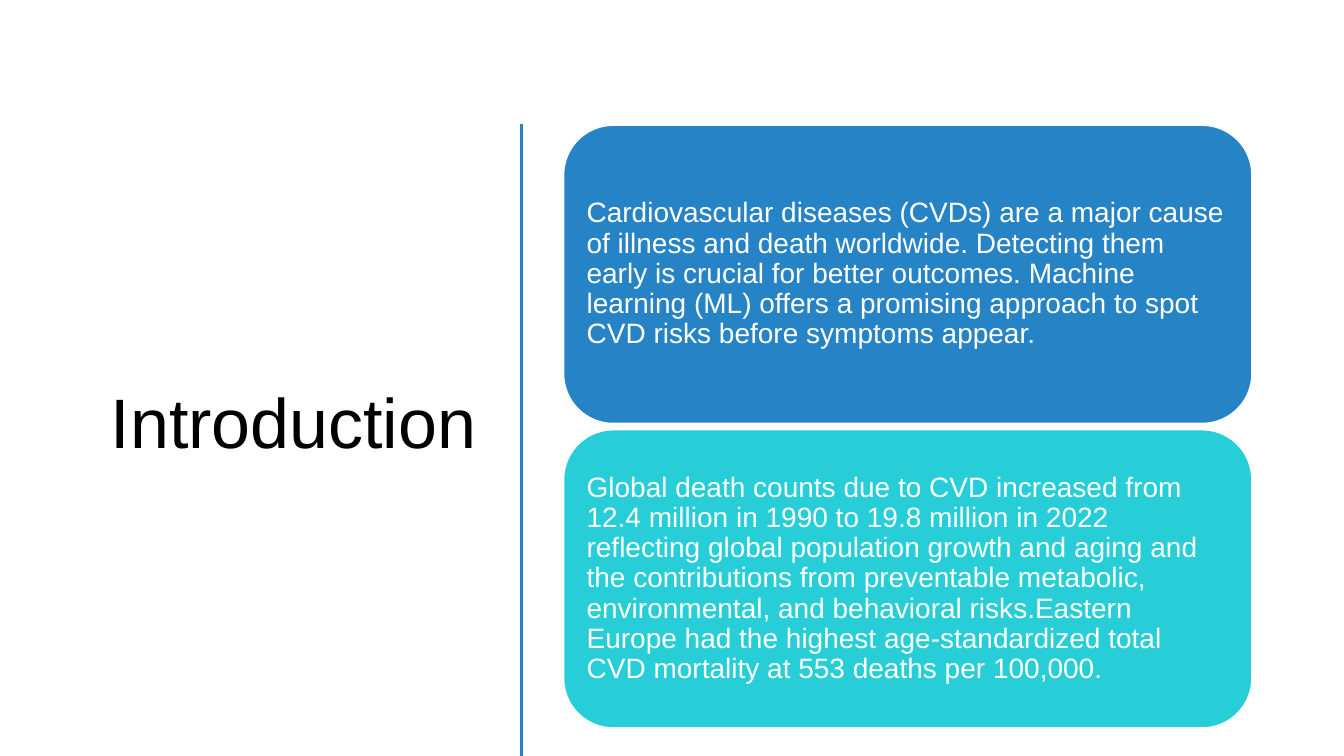
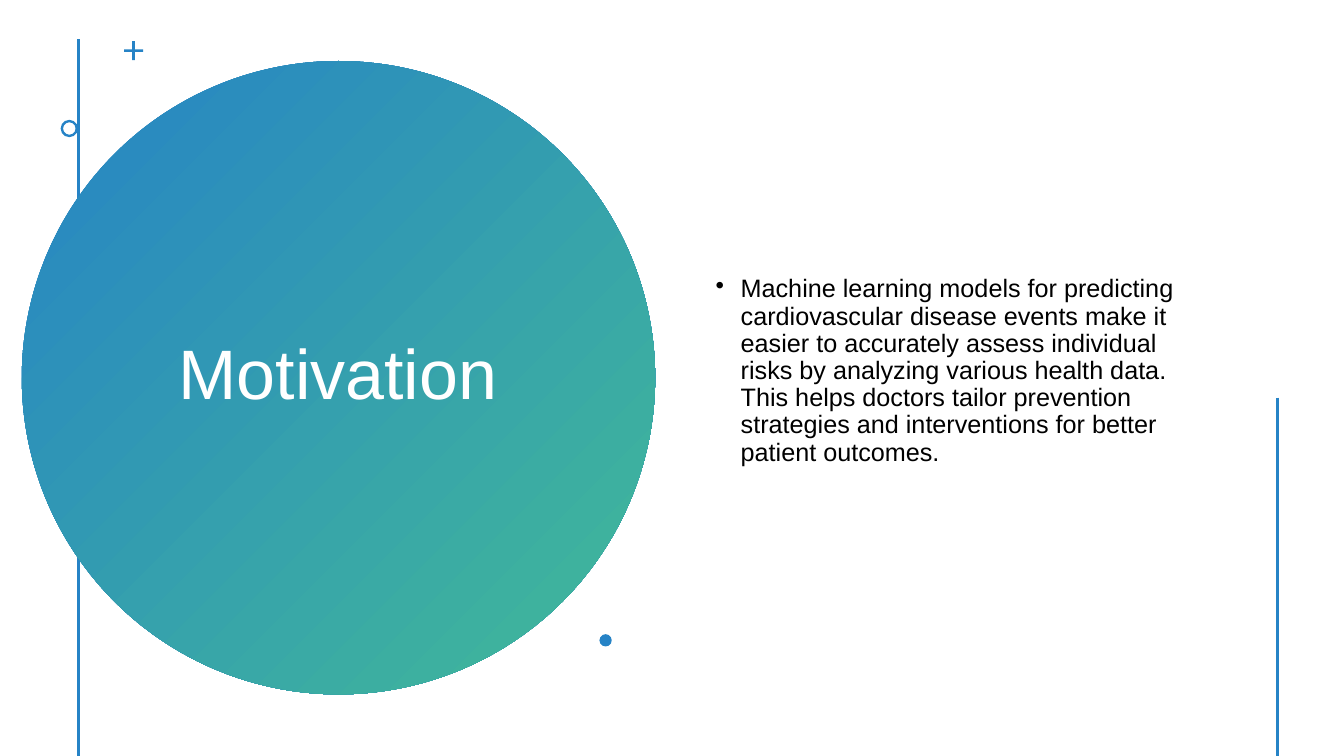
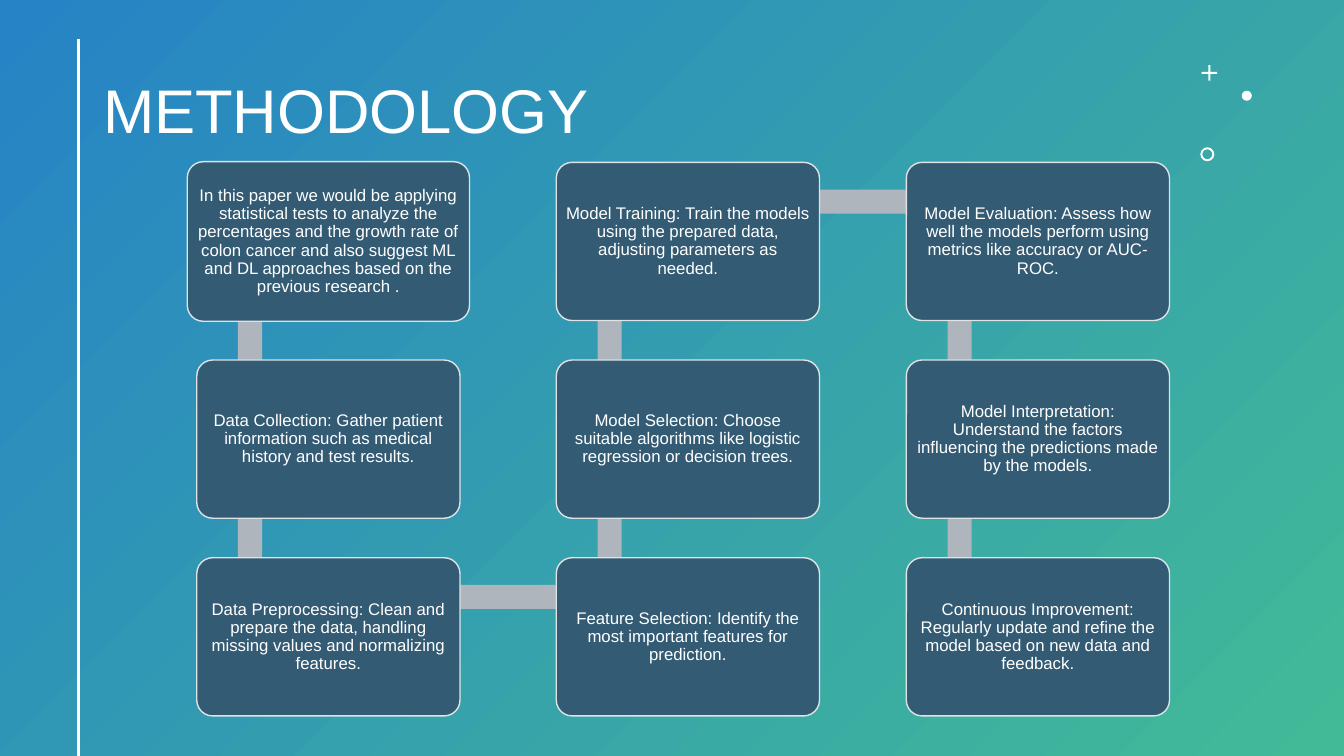
from itertools import pairwise

from lxml import etree
from pptx import Presentation
from pptx.dml.color import RGBColor
from pptx.enum import shapes, text
from pptx.oxml import ns
from pptx.util import Pt

WIDTH, HEIGHT = 960, 540
FONT = "Arial"
BLUE, GREEN, TURQUOISE = "2683C6", "42BA97", "27CED7"
NAVY, GREY, PALE = "335B74", "AEB5BC", "DFE3E5"
WHITE, BLACK = "FFFFFF", "000000"
SHAPE, ALIGN = shapes.MSO_SHAPE, text.PP_ALIGN

INTRODUCTION = [
    (BLUE, "Cardiovascular diseases (CVDs) are a major cause of illness and death worldwide. "
           "Detecting them early is crucial for better outcomes. Machine learning (ML) offers "
           "a promising approach to spot CVD risks before symptoms appear."),
    (TURQUOISE, "Global death counts due to CVD increased from 12.4 million in 1990 to 19.8 million "
                "in 2022 reflecting global population growth and aging and the contributions from "
                "preventable metabolic, environmental, and behavioral risks.Eastern Europe had the "
                "highest age-standardized total CVD mortality at 553 deaths per 100,000."),
]
MOTIVATION = ("Machine learning models for predicting cardiovascular disease events make it easier "
              "to accurately assess individual risks by analyzing various health data. This helps "
              "doctors tailor prevention strategies and interventions for better patient outcomes.")
STEPS = [
    "In this paper we would be applying statistical tests to analyze the percentages and the growth "
    "rate of colon cancer and also suggest ML and DL approaches based on the previous research .",
    "Data Collection: Gather patient information such as medical history and test results.",
    "Data Preprocessing: Clean and prepare the data, handling missing values and normalizing features.",
    "Feature Selection: Identify the most important features for prediction.",
    "Model Selection: Choose suitable algorithms like logistic regression or decision trees.",
    "Model Training: Train the models using the prepared data, adjusting parameters as needed.",
    "Model Evaluation: Assess how well the models perform using metrics like accuracy or AUC-ROC.",
    "Model Interpretation: Understand the factors influencing the predictions made by the models.",
    "Continuous Improvement: Regularly update and refine the model based on new data and feedback.",
]


def color(value):
    return RGBColor.from_string(value)


def points(box):
    return [Pt(length) for length in box]


def write(shape, words, size=18, ink=WHITE, align=ALIGN.LEFT, inset=None, bullet=False):
    frame = shape.text_frame
    frame.word_wrap = True
    frame.auto_size = text.MSO_AUTO_SIZE.NONE
    frame.vertical_anchor = text.MSO_ANCHOR.MIDDLE
    if inset is not None:
        frame.margin_left = frame.margin_right = Pt(inset)
        frame.margin_top = frame.margin_bottom = Pt(inset)
    paragraph = frame.paragraphs[0]
    paragraph.alignment = align
    paragraph.line_spacing = 0.9
    run = paragraph.add_run()
    run.text = words
    run.font.name, run.font.size = FONT, Pt(size)
    run.font.color.rgb = color(ink)
    if bullet:
        properties = paragraph._p.get_or_add_pPr()
        properties.set("marL", str(Pt(18)))
        properties.set("indent", str(Pt(-18)))
        etree.SubElement(properties, ns.qn("a:buChar")).set("char", "•")


def add_shape(slide, kind, box, fill, outline=None, adjust=None):
    """Add a preset shape; a pair of colours as fill gives a diagonal gradient."""
    shape = slide.shapes.add_shape(kind, *points(box))
    shape.shadow.inherit = False
    if isinstance(fill, tuple):
        shape.fill.gradient()
        shape.fill.gradient_angle = 315
        for stop, value in zip(shape.fill.gradient_stops, fill):
            stop.color.rgb = color(value)
    else:
        shape.fill.solid()
        shape.fill.fore_color.rgb = color(fill)
    if outline:
        shape.line.color.rgb = color(outline)
        shape.line.width = Pt(1)
    else:
        shape.line.fill.background()
    if adjust is not None:
        shape.adjustments[0] = adjust
    return shape


def add_rule(slide, x, top, ink=BLUE):
    """Add a vertical line that runs down to the foot of the slide."""
    rule = slide.shapes.add_connector(shapes.MSO_CONNECTOR.STRAIGHT, *points((x, top, x, HEIGHT)))
    rule.line.color.rgb = color(ink)
    rule.line.width = Pt(2)
    etree.SubElement(rule._element.spPr, ns.qn("a:effectLst"))


def add_title(slide, words, box, **style):
    """Fill the title placeholder and bring it in front of what is already drawn."""
    title = slide.shapes.title
    title.left, title.top, title.width, title.height = points(box)
    title.element.getparent().append(title.element)
    write(title, words, **style)


def add_ornaments(slide, ink, plus, ring, dot):
    """Add the small plus, ring and dot, each given as (left, top, size)."""
    for kind, (left, top, size), adjust in (
        (SHAPE.CROSS, plus, 0.43), (SHAPE.DONUT, ring, 0.14), (SHAPE.OVAL, dot, None),
    ):
        add_shape(slide, kind, (left, top, size, size), ink, adjust=adjust)


def add_panels(slide, panels, box, gap=4.5):
    left, top, width, height = box
    panel_height = (height - gap * (len(panels) - 1)) / len(panels)
    for index, (fill, words) in enumerate(panels):
        place = (left, top + index * (panel_height + gap), width, panel_height)
        panel = add_shape(slide, SHAPE.ROUNDED_RECTANGLE, place, fill, WHITE)
        write(panel, words, size=20, inset=6)


def add_flow(slide, steps, left, top):
    """Lay steps out in columns, down and up in turn, joined by grey bars."""
    rows, width, height, row_gap, column_gap = 3, 188, 113, 28.2, 62
    first_width, bar = 201.6, 17.2
    cells = []
    for index in range(len(steps)):
        column, row = divmod(index, rows)
        if column % 2:
            row = rows - 1 - row
        x = left + (first_width - width) / 2
        if column:
            x = left + first_width + column_gap + (column - 1) * (width + column_gap)
        cells.append((x, top + row * (height + row_gap)))

    joints = [(x + 38, y + 28) for x, y in cells]
    for (x1, y1), (x2, y2) in pairwise(joints):
        if x1 == x2:
            link = (x1 - bar / 2, min(y1, y2), bar, abs(y2 - y1))
        else:
            link = (x1, y1 - bar / 2, x2 - x1, bar)
        add_shape(slide, SHAPE.RECTANGLE, link, GREY)

    for index, (words, (x, y)) in enumerate(zip(steps, cells)):
        place = (x, y, width, height) if index else (left, y - 0.5, first_width, height + 1)
        step = add_shape(slide, SHAPE.ROUNDED_RECTANGLE, place, NAVY, PALE, adjust=0.1)
        write(step, words, size=12, align=ALIGN.CENTER, inset=3.6)


def build_introduction(slide):
    add_title(slide, "Introduction", (37.4, 84, 310.4, 440), size=50, ink=BLACK, align=ALIGN.RIGHT)
    add_rule(slide, 372.4, 88.5)
    add_panels(slide, INTRODUCTION, (402.6, 89.5, 491.6, 430.5))


def build_motivation(slide):
    add_rule(slide, 56, 28)
    add_shape(slide, SHAPE.OVAL, (15.6, 43.6, 452.4, 452.4), (BLUE, GREEN))
    add_title(slide, "Motivation", (98, 101.5, 287, 336), size=50, align=ALIGN.CENTER)
    add_ornaments(slide, BLUE, plus=(88.6, 29.4, 13.6), ring=(43.3, 85.6, 12.4), dot=(428.2, 453, 8.8))
    body = slide.shapes.add_textbox(*points((504, 30.2, 368.6, 470.2)))
    write(body, MOTIVATION, size=18, ink=BLACK, bullet=True)
    add_rule(slide, 912.4, 284)


def build_methodology(slide):
    add_shape(slide, SHAPE.RECTANGLE, (0, 0, WIDTH, HEIGHT), (BLUE, GREEN))
    add_title(slide, "METHODOLOGY", (66.4, 28.8, 772, 104.4), size=44)
    add_rule(slide, 56, 28, WHITE)
    add_ornaments(slide, WHITE, plus=(858.4, 46.6, 11), ring=(857.4, 105.2, 10), dot=(887, 64.8, 7.2))
    add_flow(slide, STEPS, 133.8, 116)


def main():
    presentation = Presentation()
    presentation.slide_width, presentation.slide_height = points((WIDTH, HEIGHT))
    title_only = presentation.slide_layouts[5]
    for build in (build_introduction, build_motivation, build_methodology):
        build(presentation.slides.add_slide(title_only))
    presentation.save("out.pptx")


if __name__ == "__main__":
    main()
